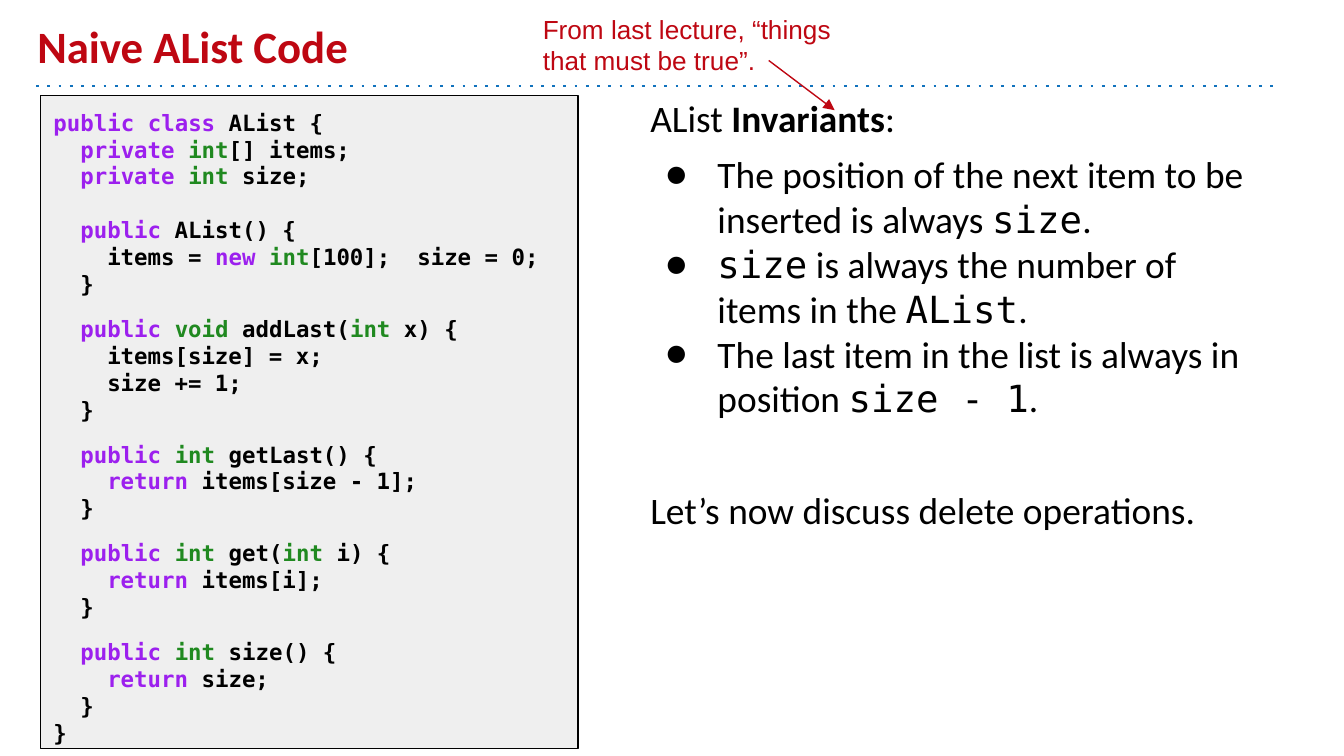
import itertools

import lxml.etree
import pptx
import pptx.dml.color
import pptx.enum.shapes
import pptx.enum.text
import pptx.oxml.ns
import pptx.util
from pptx.util import Inches

RED = pptx.dml.color.RGBColor(0xBE, 0x07, 0x12)
BLUE = pptx.dml.color.RGBColor(0x10, 0x72, 0xBD)
BLACK = pptx.dml.color.RGBColor(0, 0, 0)
PANEL = pptx.dml.color.RGBColor(0xEF, 0xEF, 0xEF)
PURPLE = pptx.dml.color.RGBColor(0x9C, 0x20, 0xEE)
GREEN = pptx.dml.color.RGBColor(0x20, 0x89, 0x20)

SANS = "Calibri"
MONO = "DejaVu Sans Mono"
KEYWORD_COLORS = {
    **dict.fromkeys(["public", "private", "class", "new", "return"], PURPLE),
    **dict.fromkeys(["int", "void"], GREEN),
}
LEVEL_INDENT = 0.2
FIELD_GAP = 14.4
METHOD_GAP = 9.7

CODE_BLOCKS = [
    (0, [(0, "public class AList {"), (1, "private int[] items;"),
         (1, "private int size;")]),
    (FIELD_GAP, [(1, "public AList() {"),
                 (2, "items = new int[100];  size = 0;"), (1, "}")]),
    (METHOD_GAP, [(1, "public void addLast(int x) {"),
                  (2, "items[size] = x;"), (2, "size += 1;"), (1, "}")]),
    (METHOD_GAP, [(1, "public int getLast() {"),
                  (2, "return items[size - 1];"), (1, "}")]),
    (METHOD_GAP, [(1, "public int get(int i) {"),
                  (2, "return items[i];"), (1, "}")]),
    (METHOD_GAP, [(1, "public int size() {"), (2, "return size;"),
                  (1, "}"), (0, "}")]),
]

INVARIANTS = [
    [("The position of the next item to be inserted is always ", SANS),
     ("size", MONO), (".", SANS)],
    [("size", MONO), (" is always the number of items in the ", SANS),
     ("AList", MONO), (".", SANS)],
    [("The last item in the list is always in position ", SANS),
     ("size - 1", MONO), (".", SANS)],
]


def add_run(p, text, size=20, font=SANS, color=BLACK, bold=False):
    r = p.add_run()
    r.text = text
    r.font.size = pptx.util.Pt(size)
    r.font.name = font
    r.font.color.rgb = color
    r.font.bold = bold


def add_element(parent, tag, **attributes):
    return lxml.etree.SubElement(parent, pptx.oxml.ns.qn(tag), attributes)


def setup_frame(sp, anchor=pptx.enum.text.MSO_ANCHOR.TOP):
    tf = sp.text_frame
    tf.word_wrap = True
    tf.vertical_anchor = anchor
    tf.margin_left = tf.margin_right = Inches(0.1)
    tf.margin_top = tf.margin_bottom = Inches(0.1)
    return tf


def add_text_box(s, left, top, width, height, **frame):
    sp = s.shapes.add_textbox(
        Inches(left), Inches(top), Inches(width), Inches(height))
    return setup_frame(sp, **frame)


def add_paragraph(tf, before=0, indent=0, hanging=0):
    first = tf.paragraphs[0]
    p = tf.add_paragraph() if first.runs else first
    p.alignment = pptx.enum.text.PP_ALIGN.LEFT
    p.space_before = pptx.util.Pt(before)
    pPr = p._p.get_or_add_pPr()
    pPr.set("marL", str(Inches(indent)))
    pPr.set("indent", str(Inches(-hanging)))
    return p


def add_bullet(p):
    pPr = p._p.get_or_add_pPr()
    add_element(add_element(pPr, "a:buClr"), "a:srgbClr", val=str(BLACK))
    add_element(pPr, "a:buFont", typeface=SANS)
    add_element(pPr, "a:buChar", char="●")


def add_line(s, start, end, color, width, dash=None, arrow=None):
    line = s.shapes.add_connector(
        pptx.enum.shapes.MSO_CONNECTOR.STRAIGHT,
        *(Inches(value) for value in (*start, *end)))
    line.line.color.rgb = color
    line.line.width = pptx.util.Pt(width)
    ln = line.line._get_or_add_ln()
    if dash:
        add_element(ln, "a:prstDash", val=dash)
    if arrow:
        add_element(ln, "a:tailEnd", type=arrow)
    add_element(line._element.spPr, "a:effectLst")


def add_code_panel(s):
    sp = s.shapes.add_shape(
        pptx.enum.shapes.MSO_SHAPE.RECTANGLE,
        Inches(0.3), Inches(0.71), Inches(4), Inches(4.86))
    sp.shadow.inherit = False
    sp.fill.solid()
    sp.fill.fore_color.rgb = PANEL
    sp.line.color.rgb = BLACK
    sp.line.width = pptx.util.Pt(0.75)
    tf = setup_frame(sp)
    for gap, lines in CODE_BLOCKS:
        for i, (level, code) in enumerate(lines):
            p = add_paragraph(tf, before=0 if i else gap,
                              indent=level * LEVEL_INDENT)
            for _, chars in itertools.groupby(code, str.isalpha):
                token = "".join(chars)
                add_run(p, token, size=12, font=MONO, bold=True,
                        color=KEYWORD_COLORS.get(token, BLACK))


def add_invariants(s):
    tf = add_text_box(s, 4.74, 0.61, 4.76, 4.54)
    p = add_paragraph(tf, before=6)
    add_run(p, "AList ")
    add_run(p, "Invariants", bold=True)
    add_run(p, ":")
    for i, parts in enumerate(INVARIANTS):
        p = add_paragraph(tf, before=0 if i else 6, indent=0.5, hanging=0.39)
        add_bullet(p)
        for text, font in parts:
            add_run(p, text, font=font)
    add_run(add_paragraph(tf, before=36), "Let’s now discuss delete operations.")


def main():
    prs = pptx.Presentation()
    prs.slide_width = Inches(10)
    prs.slide_height = prs.slide_width * 9 // 16
    s = prs.slides.add_slide(prs.slide_layouts[6])

    add_line(s, (0.27, 0.64), (9.5, 0.64), BLUE, 1.5, dash="dot")
    title = add_text_box(s, 0.18, 0.1, 9, 0.54,
                         anchor=pptx.enum.text.MSO_ANCHOR.BOTTOM)
    add_run(add_paragraph(title), "Naive AList Code",
            size=24, color=RED, bold=True)
    add_code_panel(s)
    add_invariants(s)
    add_line(s, (5.72, 0.45), (6.21, 0.82), RED, 0.75, arrow="triangle")
    callout = add_text_box(s, 3.94, 0, 2.39, 0.54)
    add_run(add_paragraph(callout),
            "From last lecture, “things that must be true”.",
            size=14, font="Arial", color=RED)

    prs.save("out.pptx")


if __name__ == "__main__":
    main()
